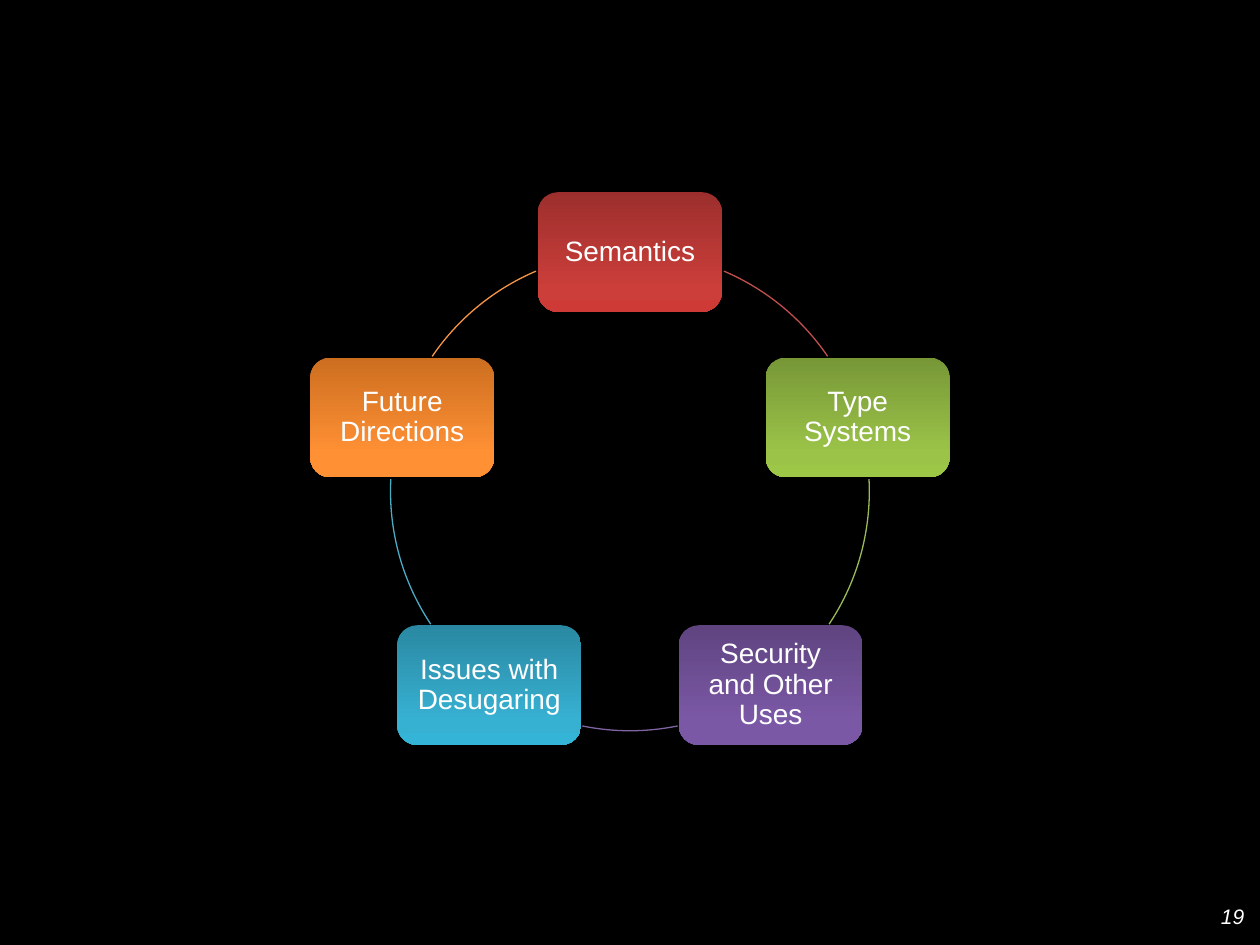
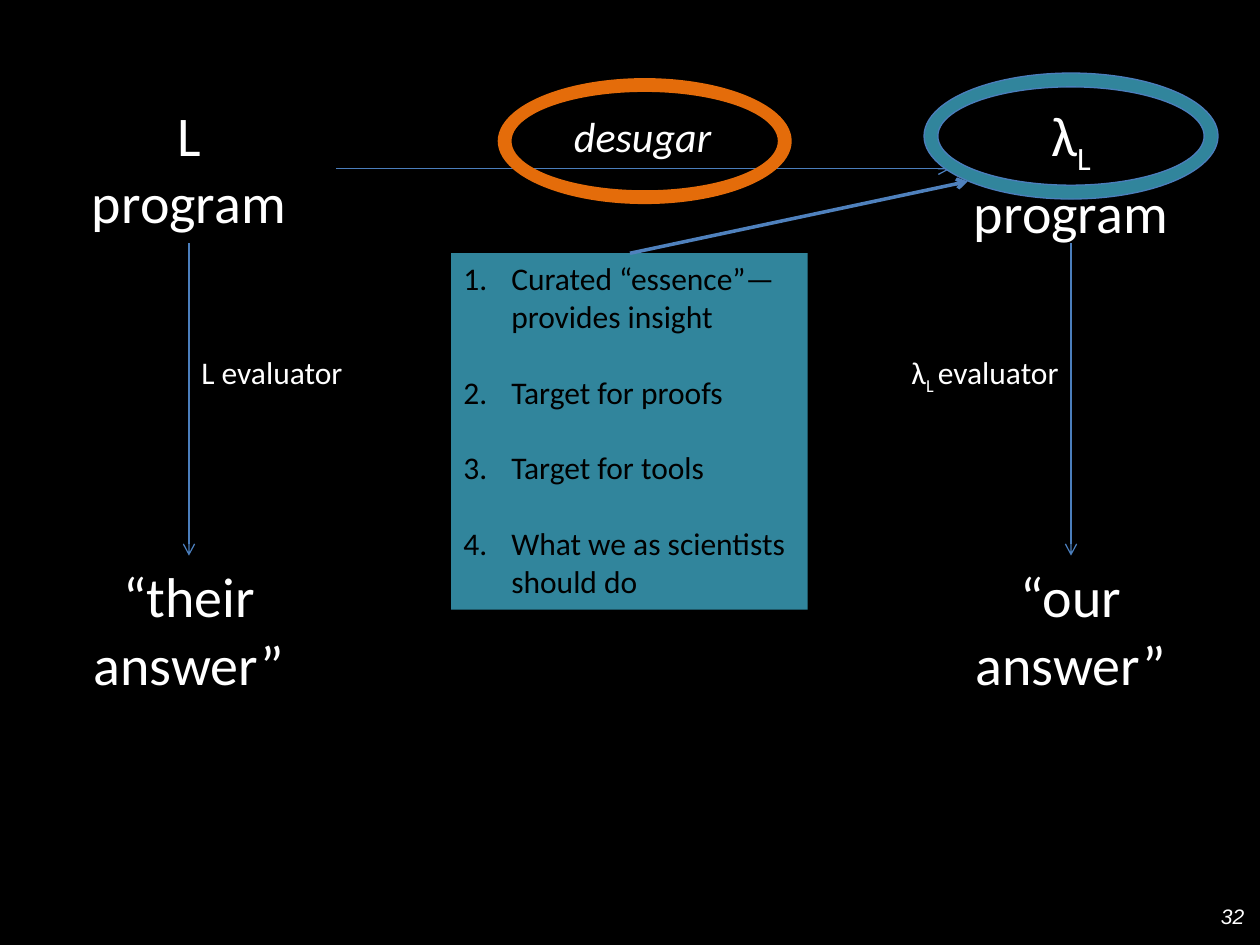
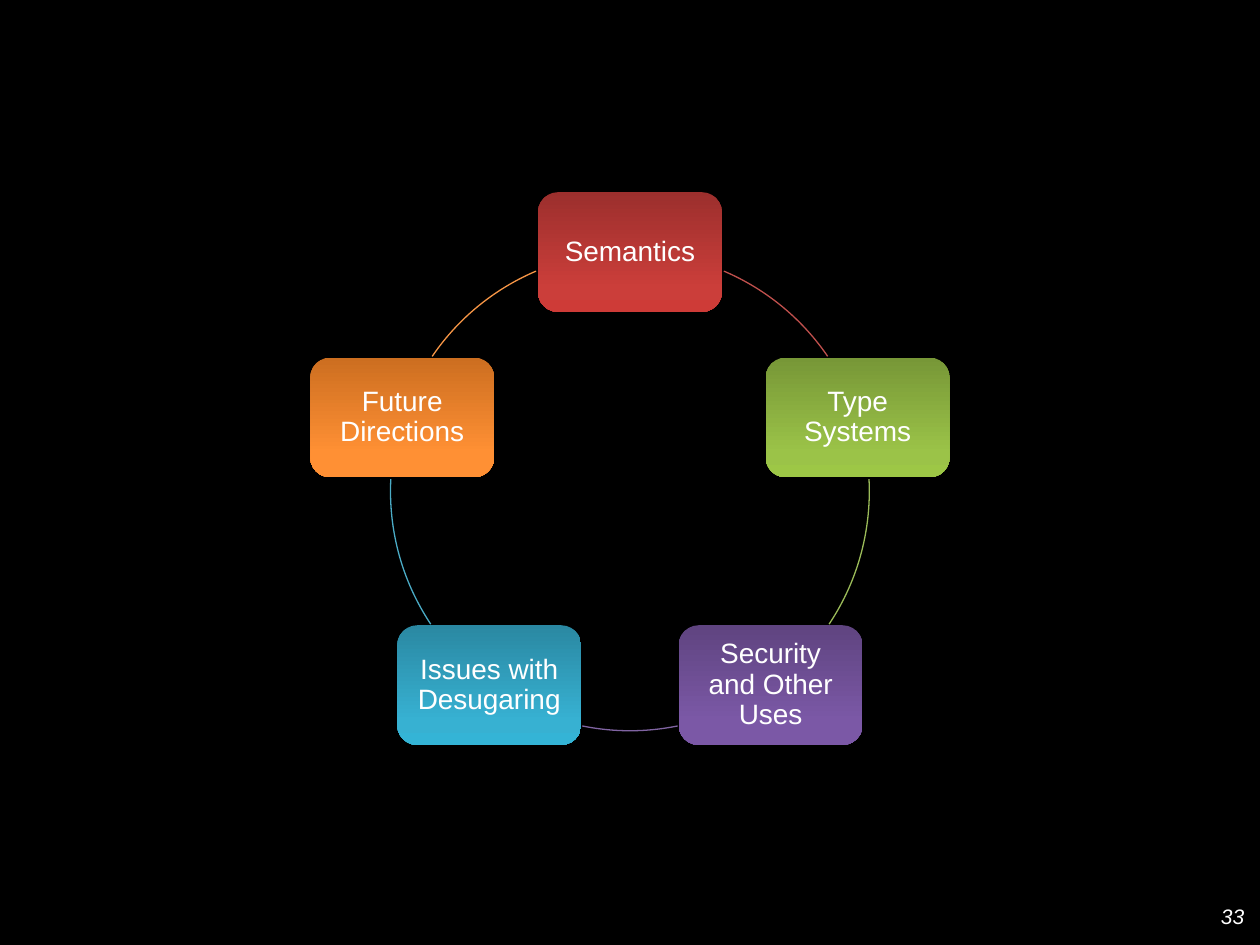
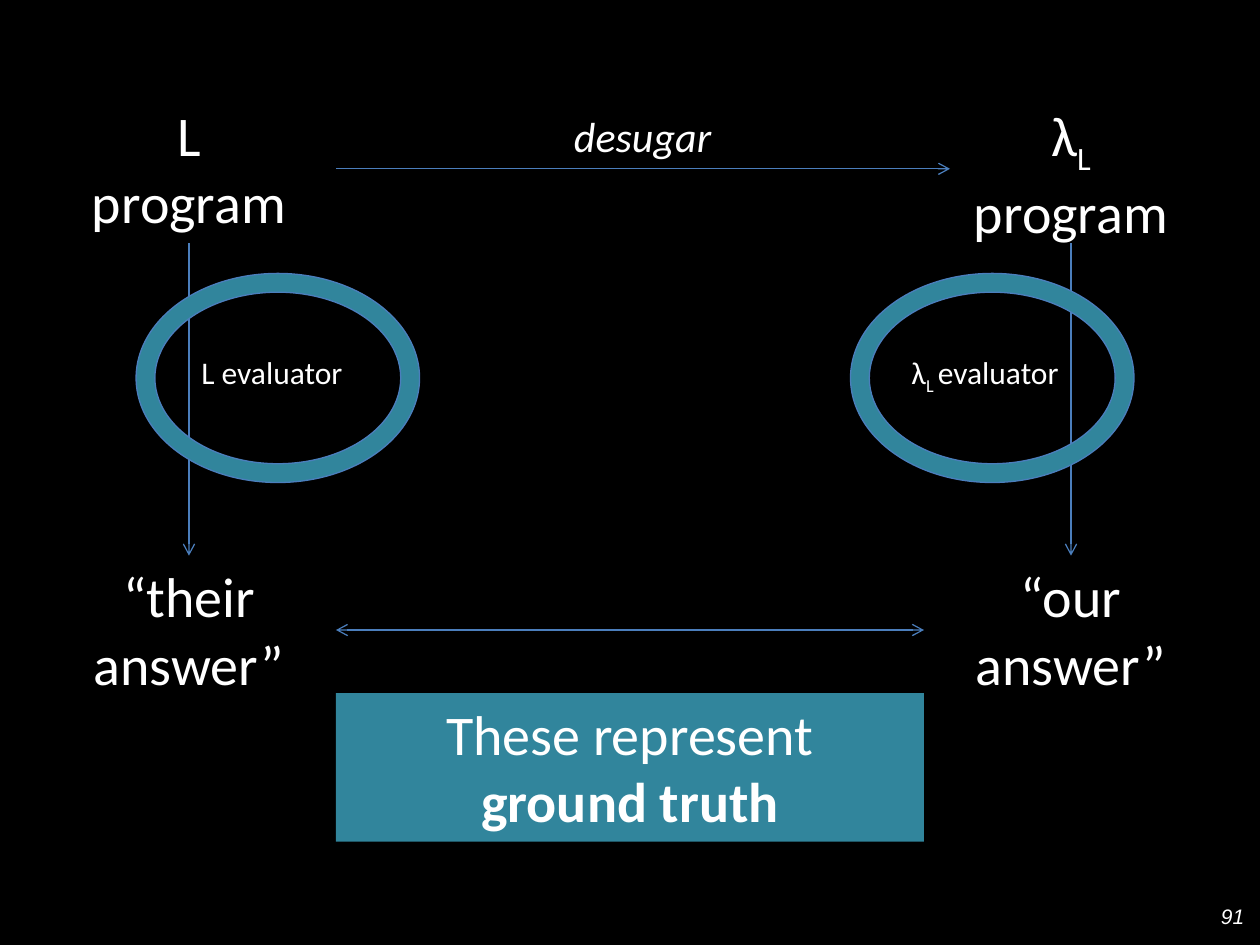
from math import cos, radians, sin
from lxml.etree import SubElement
from pptx import Presentation
from pptx.dml.color import RGBColor
from pptx.enum.shapes import MSO_CONNECTOR, MSO_SHAPE
from pptx.enum.text import MSO_ANCHOR, MSO_AUTO_SIZE, PP_ALIGN
from pptx.oxml.ns import qn
from pptx.util import Inches, Pt

HUES = {"back": "000000", "text": "FFFFFF", "teal": "31859C", "flame": "E46C0A",
        "line": "4B7EBC", "bold": "4F81BD"}
WIDE, HIGH = 10, 7.5
LEFT, CENTER, RIGHT = PP_ALIGN.LEFT, PP_ALIGN.CENTER, PP_ALIGN.RIGHT

TOPICS = [
    ("Semantics", ("9C2F2D", "CB3E3A", "CE3B37"), "C0504D", (293.1, 325.7)),
    ("Type Systems", ("779737", "9BC348", "9DC746"), "9BBB59", (357.1, 33.7)),
    ("Security and Other Uses", ("5F4480", "7B58A6", "7C57A8"), "8064A2", (78.5, 101.5)),
    ("Issues with Desugaring", ("2A88A2", "37B1D2", "34B4D6"), "4BACC6", (146.3, 182.9)),
    ("Future Directions", ("CC6E20", "FF9034", "FF9136"), "F79646", (214.3, 246.9)),
]
STOPS = (0, 80, 100)
HUB, REACH = (WIDE / 2, 3.9), 1.9
CARD = (1.46, 0.95)

EDGE = WIDE / 30
SIDE = 7 * EDGE
INNER = EDGE + SIDE
FAR = WIDE - INNER
MID = EDGE + SIDE / 2
TOP, LOW, TALL = 0.75, 4.41, 1.18

LABELS = [
    ((EDGE, TOP, SIDE, TALL), CENTER, 32, [("L\nprogram", "")]),
    ((7.54, TOP, 1.92, TALL), CENTER, 32, [("λ", ""), ("L\n", "sub"), ("program", "")]),
    ((EDGE, LOW, SIDE, TALL), CENTER, 32, [("“their\nanswer”", "")]),
    ((FAR, LOW, SIDE, TALL), CENTER, 32, [("“our\nanswer”", "")]),
    ((MID, 2.75, 1.92, 0.4), LEFT, 18, [("L evaluator", "")]),
    ((WIDE - MID - 1.92, 2.75, 1.92, 0.4), RIGHT, 18,
     [("λ", ""), ("L ", "sub"), ("evaluator", "")]),
    ((4.35, 0.83, 1.5, 0.5), CENTER, 24, [("desugar", "i")]),
]
ARROWS = [
    ((INNER, TOP + TALL / 2), (7.54, TOP + TALL / 2)),
    ((MID, TOP + TALL), (MID, LOW)),
    ((WIDE - MID, TOP + TALL), (WIDE - MID, LOW)),
]
GOALS = ["Curated “essence”—provides insight", "Target for proofs",
         "Target for tools", "What we as scientists should do"]
TRUTH = [("These represent\n", ""), ("ground truth", "b")]


def tint(name):
    return RGBColor.from_string(HUES.get(name, name))


def inches(*sizes):
    return [Inches(size) for size in sizes]


def write(para, runs, size, hue="text", font="Calibri"):
    for text, style in runs:
        for row, part in enumerate(text.split("\n")):
            if row:
                para.add_line_break()
            if not part:
                continue
            run = para.add_run()
            run.text = part
            face = run.font
            face.name, face.size = font, Pt(size)
            face.color.rgb = tint(hue)
            if style == "i":
                face.italic = True
            elif style == "b":
                face.bold = True
            elif style == "sub":
                run._r.get_or_add_rPr().set("baseline", "-25000")


def add_text(slide, box, align, size, runs, font="Calibri", fill=None):
    area = slide.shapes.add_textbox(*inches(*box))
    frame = area.text_frame
    frame.word_wrap = True
    frame.auto_size = MSO_AUTO_SIZE.SHAPE_TO_FIT_TEXT
    if fill:
        area.fill.solid()
        area.fill.fore_color.rgb = tint(fill)
    para = frame.paragraphs[0]
    para.alignment = align
    write(para, runs, size, font=font)
    return area


def add_arrow(slide, start, end, hue="line", width=0.75, both=False):
    link = slide.shapes.add_connector(MSO_CONNECTOR.STRAIGHT, *inches(*start, *end))
    link.line.color.rgb = tint(hue)
    link.line.width = Pt(width)
    ends = ("headEnd", "tailEnd") if both else ("tailEnd",)
    for name in ends:
        SubElement(link.line._get_or_add_ln(), qn("a:" + name), type="arrow")
    SubElement(link._element.spPr, qn("a:effectLst"))


def add_ring(slide, box, depth, fill="teal", edge="line"):
    ring = slide.shapes.add_shape(MSO_SHAPE.DONUT, *inches(*box))
    ring.shadow.inherit = False
    ring.adjustments[0] = depth
    ring.fill.solid()
    ring.fill.fore_color.rgb = tint(fill)
    if edge:
        ring.line.color.rgb = tint(edge)
        ring.line.width = Pt(0.75)
    else:
        ring.line.fill.background()


def shade(shape, hues):
    shape.fill.gradient()
    shape.fill.gradient_angle = 270
    stops = shape._element.spPr.find(qn("a:gradFill")).find(qn("a:gsLst"))
    for stop in list(stops):
        stops.remove(stop)
    for place, hue in zip(STOPS, hues):
        stop = SubElement(stops, qn("a:gs"), pos=str(place * 1000))
        SubElement(stop, qn("a:srgbClr"), val=hue)


def add_card(slide, spot, text, hues):
    wide, high = CARD
    turn = radians(360 / len(TOPICS) * spot - 90)
    x, y = HUB[0] + REACH * cos(turn), HUB[1] + REACH * sin(turn)
    card = slide.shapes.add_shape(MSO_SHAPE.ROUNDED_RECTANGLE,
                                  *inches(x - wide / 2, y - high / 2, wide, high))
    card.shadow.inherit = False
    card.line.fill.background()
    shade(card, hues)
    frame = card.text_frame
    frame.word_wrap = True
    frame.vertical_anchor = MSO_ANCHOR.MIDDLE
    frame.margin_left = frame.margin_right = Inches(0.07)
    para = frame.paragraphs[0]
    para.alignment = CENTER
    para.line_spacing = 0.9
    write(para, [(text, "")], 16, font="Arial")


def add_arc(slide, hue, angles):
    arc = slide.shapes.add_shape(
        MSO_SHAPE.ARC, *inches(HUB[0] - REACH, HUB[1] - REACH, 2 * REACH, 2 * REACH))
    arc.shadow.inherit = False
    arc.fill.background()
    arc.line.color.rgb = tint(hue)
    arc.line.width = Pt(0.75)
    for spot, angle in enumerate(angles):
        arc.adjustments[spot] = angle * 0.6


def add_goals(slide):
    area = add_text(slide, (3.58, 2.01, 2.83, 2.83), LEFT, 18, [], fill="teal")
    frame = area.text_frame
    for spot, goal in enumerate(GOALS):
        para = frame.add_paragraph() if spot else frame.paragraphs[0]
        props = para._p.get_or_add_pPr()
        props.set("marL", str(Inches(0.38)))
        props.set("indent", str(-Inches(0.38)))
        if spot < len(GOALS) - 1:
            para.space_after = Pt(21.6)
        SubElement(props, qn("a:buFont"), typeface="+mj-lt")
        SubElement(props, qn("a:buAutoNum"), type="arabicPeriod")
        write(para, [(goal, "")], 18, hue="back")


def draw_cycle(slide):
    for spot, (text, hues, hue, angles) in enumerate(TOPICS):
        add_card(slide, spot, text, hues)
        add_arc(slide, hue, angles)


def draw_flow(slide):
    for label in LABELS:
        add_text(slide, *label)
    for start, end in ARROWS:
        add_arrow(slide, start, end)


def draw_essence(slide):
    draw_flow(slide)
    add_ring(slide, (FAR, 0.58, SIDE, 1), 0.11)
    add_ring(slide, (3.95, 0.62, SIDE, 1), 0.11, "flame", None)
    add_goals(slide)
    add_arrow(slide, (WIDE / 2, 2.01), (7.68, 1.44), "bold", 2)


def draw_truth(slide):
    draw_flow(slide)
    add_arrow(slide, (INNER, 5), (FAR, 5), both=True)
    for x in (1.08, 6.75):
        add_ring(slide, (x, 2.17, 2.25, 1.66), 0.09)
    add_text(slide, (INNER, 5.5, FAR - INNER, TALL), CENTER, 32, TRUTH, fill="teal")


PAGES = [(19, draw_cycle), (32, draw_essence), (33, draw_cycle), (91, draw_truth)]


def main():
    deck = Presentation()
    deck.slide_width, deck.slide_height = inches(WIDE, HIGH)
    back = deck.slide_master.background.fill
    back.solid()
    back.fore_color.rgb = tint("back")
    for number, draw in PAGES:
        slide = deck.slides.add_slide(deck.slide_layouts[6])
        draw(slide)
        foot = add_text(slide, (7.64, 7.07, SIDE, 0.4), RIGHT, 12,
                        [(str(number), "i")], font="Arial")
        foot.text_frame.auto_size = MSO_AUTO_SIZE.NONE
        foot.text_frame.vertical_anchor = MSO_ANCHOR.MIDDLE
    deck.save("out.pptx")


if __name__ == "__main__":
    main()
